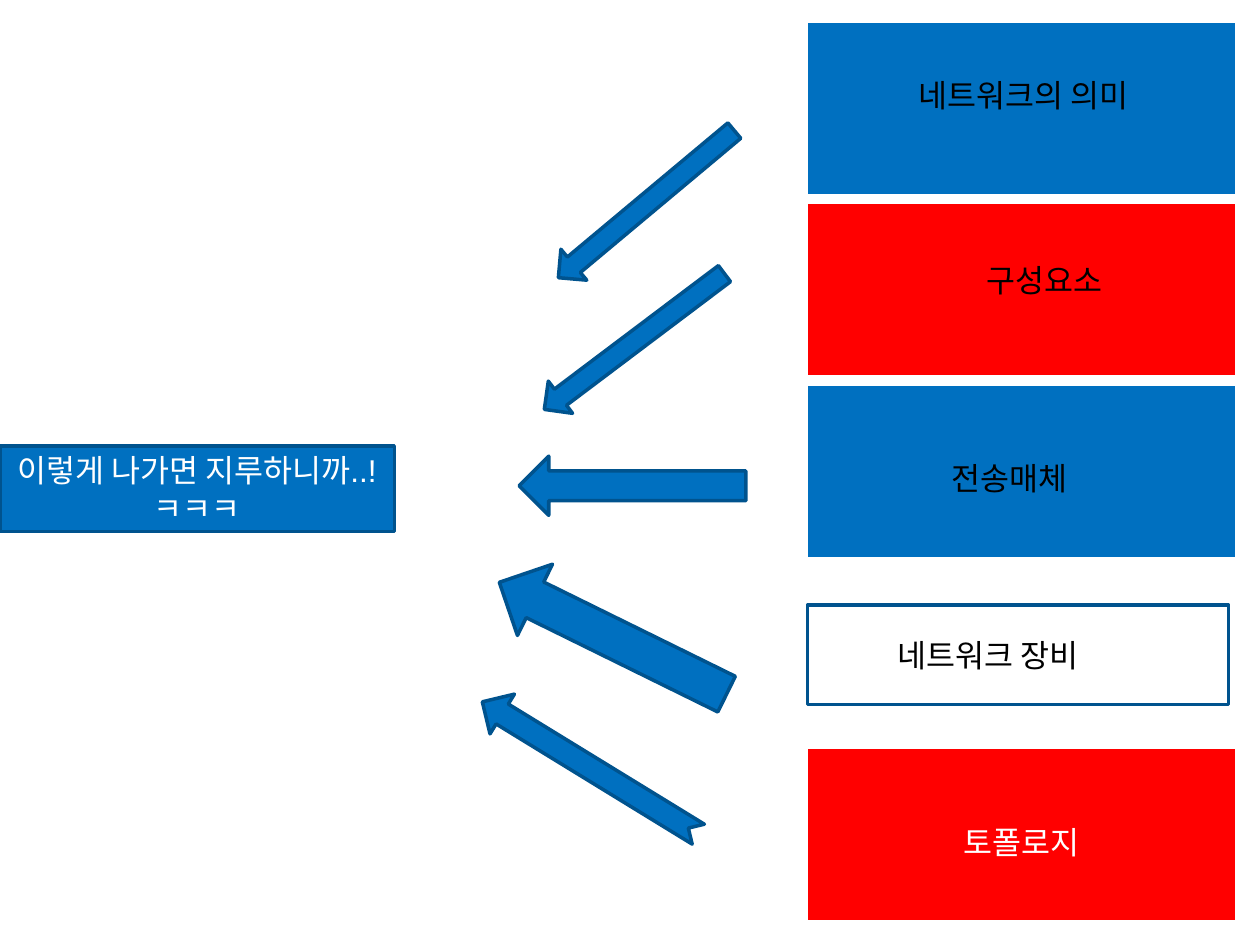
"""Build a slide where five network topics point to one remark."""
from dataclasses import dataclass

from pptx import Presentation
from pptx.dml.color import RGBColor
from pptx.enum.shapes import MSO_SHAPE as Shape
from pptx.enum.text import MSO_ANCHOR as Anchor, PP_ALIGN as Align
from pptx.util import Inches, Pt


@dataclass(frozen=True)
class Theme:
    blue: str = "0070C0"
    red: str = "FF0000"
    white: str = "FFFFFF"
    black: str = "000000"
    edge: str = "00538E"
    font: str = "Arial"
    size: int = 18
    edge_width: int = 2
    panel_edge: int = 6


T = Theme()

PANEL_FILLS = [T.blue, T.red, T.blue, T.white, T.red]
PANEL_LEFT, PANEL_TOP, PANEL_W, PANEL_H = 6.37, 0.14, 3.47, 1.44

REMARK = ("이렇게 나가면 지루하니까..!ㅋㅋㅋ", (0, 3.54, 3.13, 0.68))
DEVICES = ("네트워크 장비", (6.41, 4.8, 3.34, 0.79))
DEVICES_RIGHT_INSET = 0.58
LABELS = [
    ("네트워크의 의미", (6.93, 0.29, 2.39, 0.92), T.black),
    ("구성요소", (7.29, 1.82, 2, 0.8), T.black),
    ("전송매체", (6.64, 3.34, 2.75, 0.91), T.black),
    ("토폴로지", (6.8, 6.29, 2.61, 0.79), T.white),
]
ARROWS = [
    (Shape.RIGHT_ARROW, (4.22, 1.46, 1.82, 0.32), 140.1),
    (Shape.RIGHT_ARROW, (4.14, 2.55, 1.79, 0.32), 143),
    (Shape.RIGHT_ARROW, (4.12, 3.62, 1.8, 0.47), 180),
    (Shape.RIGHT_ARROW, (3.86, 4.75, 2.01, 0.63), 206.2),
    (Shape.NOTCHED_RIGHT_ARROW, (3.68, 5.91, 2.01, 0.37), 211.5),
]


def rgb(value):
    return RGBColor.from_string(value)


def add_block(s, kind, box, fill=None, line=T.edge, width=T.edge_width):
    sp = s.shapes.add_shape(kind, *map(Inches, box))
    sp.shadow.inherit = False
    if fill:
        sp.fill.solid()
        sp.fill.fore_color.rgb = rgb(fill)
    else:
        sp.fill.background()
    sp.line.color.rgb = rgb(line)
    sp.line.width = Pt(width)
    return sp


def write(sp, text, color):
    tf = sp.text_frame
    tf.word_wrap = True
    tf.vertical_anchor = Anchor.MIDDLE
    p = tf.paragraphs[0]
    p.alignment = Align.CENTER
    r = p.add_run()
    r.text = text
    r.font.name = T.font
    r.font.size = Pt(T.size)
    r.font.color.rgb = rgb(color)


def main():
    prs = Presentation()
    prs.slide_width, prs.slide_height = Inches(10), Inches(7.5)
    s = prs.slides.add_slide(prs.slide_layouts[6])

    for i, fill in enumerate(PANEL_FILLS):
        box = (PANEL_LEFT, PANEL_TOP + i * PANEL_H, PANEL_W, PANEL_H)
        add_block(s, Shape.RECTANGLE, box, fill, T.white, T.panel_edge)

    text, box = REMARK
    write(add_block(s, Shape.RECTANGLE, box, T.blue), text, T.white)

    for kind, box, angle in ARROWS:
        add_block(s, kind, box, T.blue).rotation = angle

    for text, box, color in LABELS:
        write(s.shapes.add_textbox(*map(Inches, box)), text, color)

    text, box = DEVICES
    sp = add_block(s, Shape.RECTANGLE, box)
    sp.text_frame.margin_right = Inches(DEVICES_RIGHT_INSET)
    write(sp, text, T.black)

    prs.save("out.pptx")


if __name__ == "__main__":
    main()
